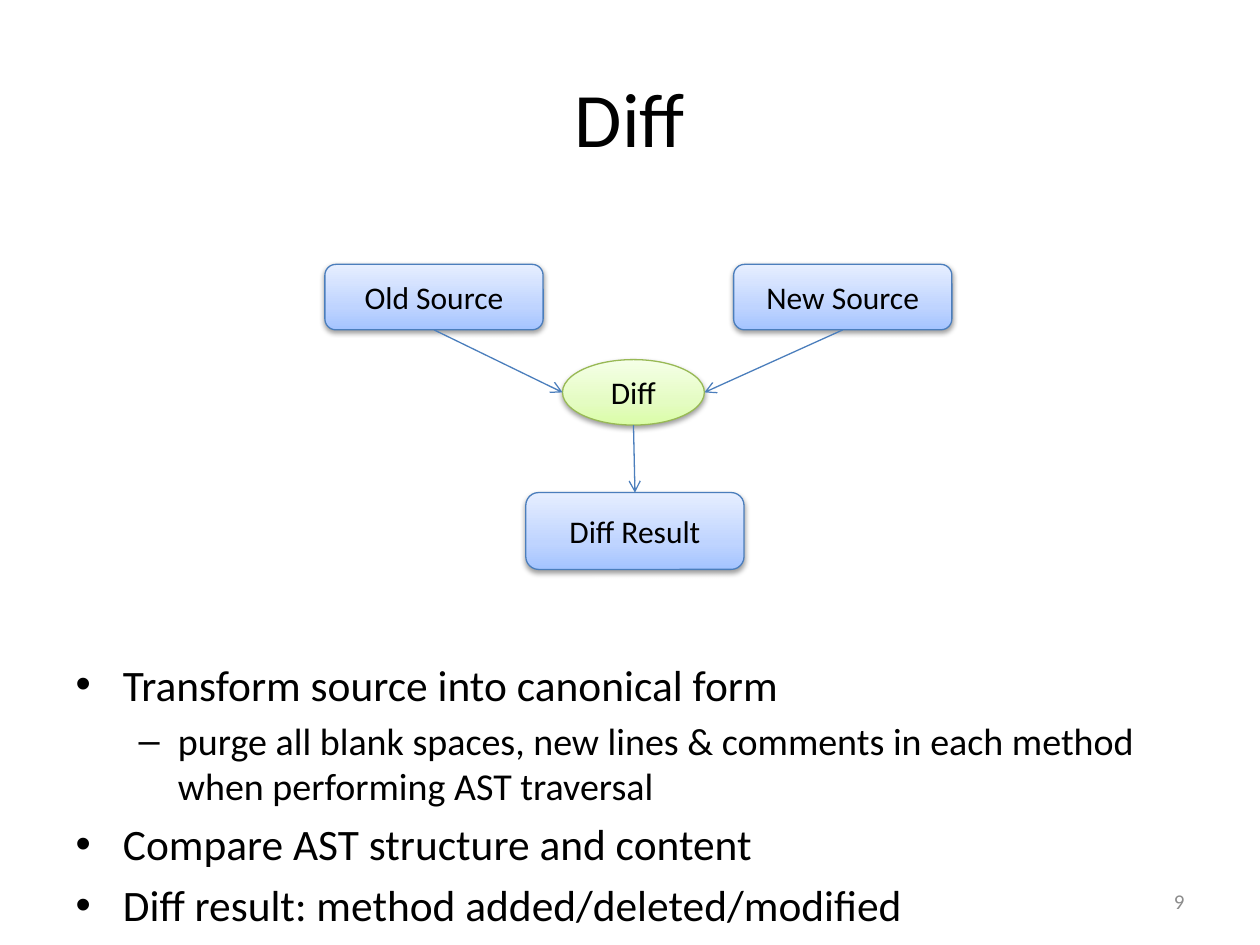
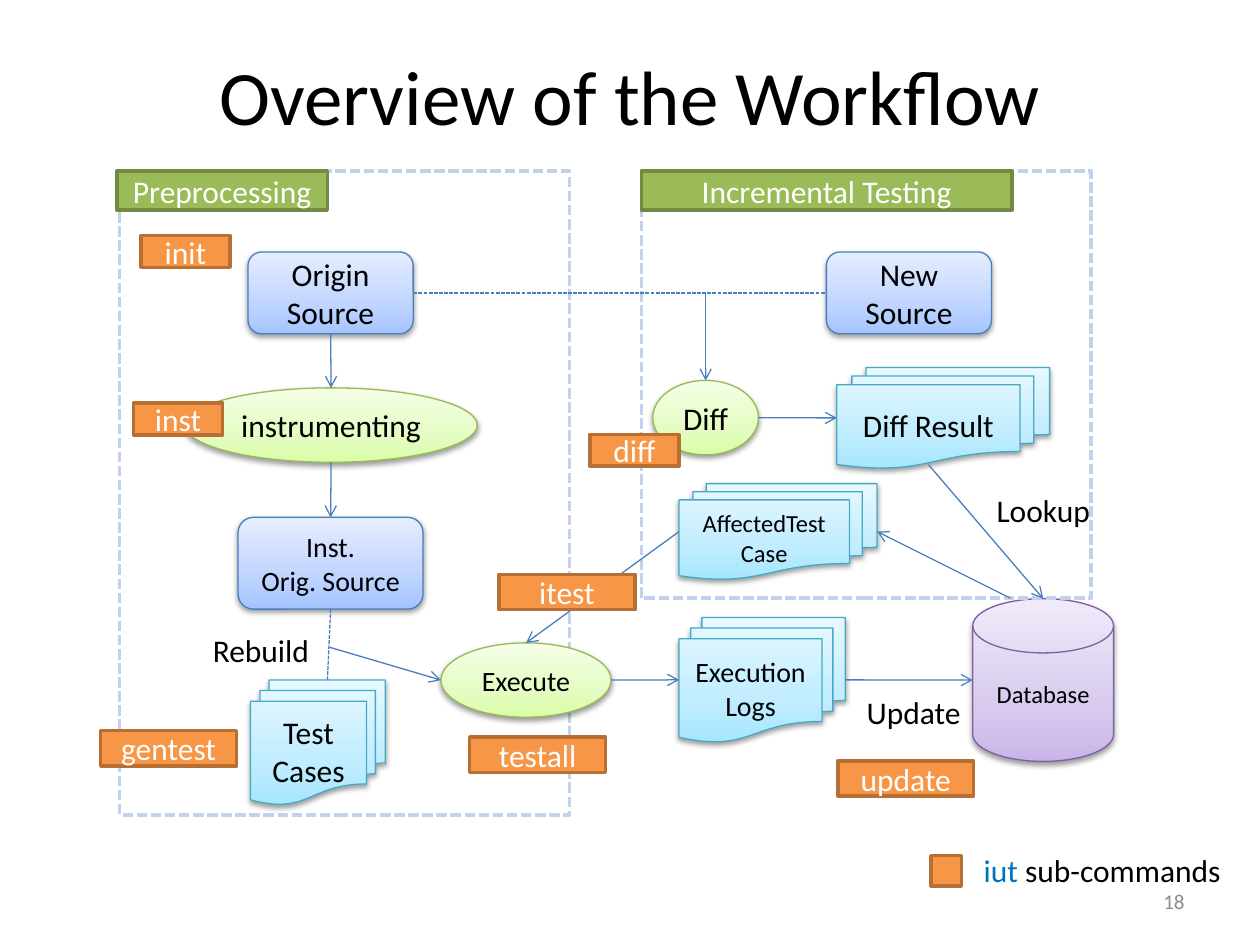
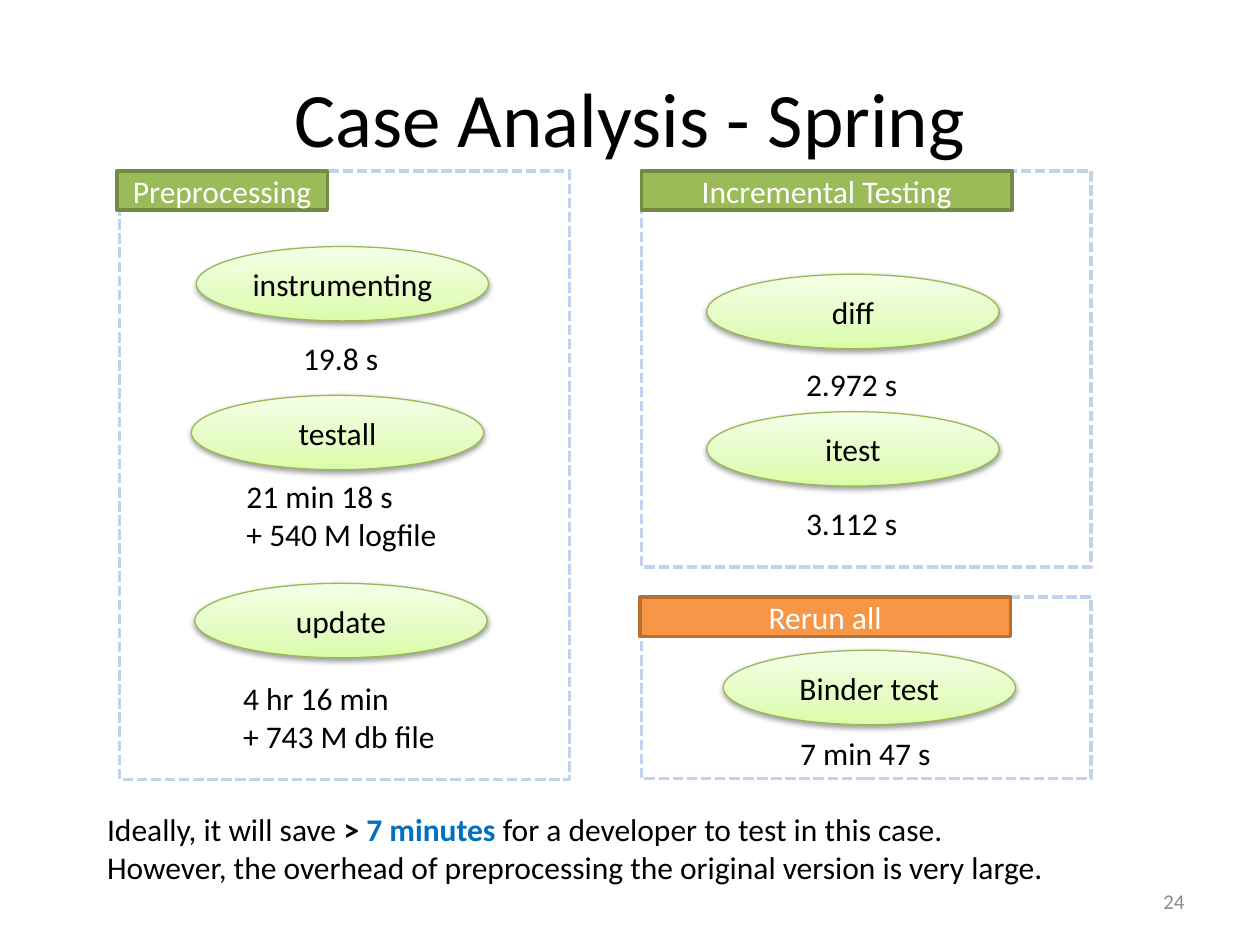
from collections import namedtuple
from copy import deepcopy

from lxml import etree
from pptx import Presentation
from pptx import util as u
from pptx.dml.color import RGBColor
from pptx.enum import dml, shapes, text
from pptx.oxml import ns

FONT = "Calibri"
BLACK, WHITE, GREY, ACCENT = "000000", "FFFFFF", "8C8C8C", "0070C0"
ARROW_BLUE, FRAME_BLUE = "4B7EBC", "C2D1ED"
GREEN_TAG, ORANGE_TAG = ("9BBB59", "738A42"), ("F79646", "B76F34")

Kind = namedtuple("Kind", "preset stops outline")
SOURCE = Kind(shapes.MSO_SHAPE.ROUNDED_RECTANGLE, ("A4C4FF", "BFD4FF", "E6EEFF"), "4B7EBC")
ACTION = Kind(shapes.MSO_SHAPE.OVAL, ("DAFDA7", "E4FCC2", "F5FFE7"), "98B955")
FILES = Kind(shapes.MSO_SHAPE.FLOWCHART_MULTIDOCUMENT, ("A7E6FF", "C1EDFF", "E7F8FF"), "46AAC5")
STORE = Kind(shapes.MSO_SHAPE.FLOWCHART_MAGNETIC_DISK, ("C9B5E8", "D8CBEE", "F0EAF9"), "7D60A0")


class Box(namedtuple("Box", "left top width height")):
    """A rectangle in centimetres."""

    def inside(self, x, y, width, height):
        """Return a box placed relative to this one."""
        return Box(self.left + x, self.top + y, width, height)

    def point(self, x, y):
        """Return a point offset from the top left corner."""
        return self.left + x, self.top + y

    def side(self, name):
        """Return the middle of the named side."""
        x, y = {"top": (0.5, 0), "bottom": (0.5, 1), "left": (0, 0.5), "right": (1, 0.5)}[name]
        return self.point(x * self.width, y * self.height)

    def lengths(self):
        """Return the box as four lengths."""
        return [u.Cm(value) for value in self]


SLIDE = Box(0, 0, 25.4, 19.05)
TALL_TITLE = Box(1.27, 0.76, 22.86, 3.18)
LOW_TITLE = Box(1.27, 0.76, 22.86, 2.29)


def rgb(value):
    """Turn a hex string into a colour."""
    return RGBColor.from_string(value)


def write(frame, content, size=18, color=BLACK, align=text.PP_ALIGN.LEFT):
    """Write a string, or paragraphs of (text, colour, bold) runs."""
    if isinstance(content, str):
        content = [[(line, color, False)] for line in content.split("\n")]
    for index, pieces in enumerate(content):
        paragraph = frame.paragraphs[0] if index == 0 else frame.add_paragraph()
        paragraph.alignment = align
        for words, shade, bold in pieces:
            run = paragraph.add_run()
            run.text = words
            run.font.name, run.font.size, run.font.bold = FONT, u.Pt(size), bold
            run.font.color.rgb = rgb(shade)


def caption(slide, box, content, wrap=False, **style):
    """Add a text box."""
    frame = slide.shapes.add_textbox(*box.lengths()).text_frame
    frame.word_wrap = wrap
    write(frame, content, **style)
    return frame


def outlined(slide, preset, box, color, weight):
    """Add a preset shape with an outline and no shadow."""
    shape = slide.shapes.add_shape(preset, *box.lengths())
    shape.shadow.inherit = False
    shape.line.color.rgb = rgb(color)
    shape.line.width = u.Pt(weight)
    return shape


def label(shape, content, size=18, color=BLACK):
    """Centre text in a shape."""
    shape.text_frame.vertical_anchor = text.MSO_ANCHOR.MIDDLE
    write(shape.text_frame, content, size, color, text.PP_ALIGN.CENTER)


def node(slide, kind, box, content, size=18):
    """Draw a shaded workflow node and return its box."""
    shape = outlined(slide, kind.preset, box, kind.outline, 0.75)
    shape.fill.gradient()
    shape.fill.gradient_angle = 90
    properties = shape.element.spPr
    last_stop = properties.findall(".//" + ns.qn("a:gs"))[-1]
    last_stop.addprevious(deepcopy(last_stop))
    for stop, color, position in zip(shape.fill.gradient_stops, kind.stops, (0, 0.35, 1)):
        stop.color.rgb, stop.position = rgb(color), position
    shadow = etree.SubElement(properties.find(ns.qn("a:effectLst")), ns.qn("a:outerShdw"),
                              blurRad="40000", dist="20000", dir="5400000", rotWithShape="0")
    shade = etree.SubElement(shadow, ns.qn("a:srgbClr"), val=BLACK)
    etree.SubElement(shade, ns.qn("a:alpha"), val="38000")
    label(shape, content, size)
    return box


def link(slide, start, end, dashed=False):
    """Draw an arrow, or a dashed line without a head."""
    (x1, y1), (x2, y2) = start, end
    line = slide.shapes.add_connector(shapes.MSO_CONNECTOR.STRAIGHT,
                                      u.Cm(x1), u.Cm(y1), u.Cm(x2), u.Cm(y2))
    line.line.color.rgb = rgb(ARROW_BLUE)
    line.line.width = u.Pt(0.75)
    if dashed:
        line.line.dash_style = dml.MSO_LINE.SQUARE_DOT
    else:
        etree.SubElement(line.line._get_or_add_ln(), ns.qn("a:tailEnd"), type="arrow")
    etree.SubElement(line._element.spPr, ns.qn("a:effectLst"))


def tag(slide, box, content, colors):
    """Draw a flat coloured label."""
    fill, outline = colors
    shape = outlined(slide, shapes.MSO_SHAPE.RECTANGLE, box, outline, 2)
    shape.fill.solid()
    shape.fill.fore_color.rgb = rgb(fill)
    if content:
        label(shape, content, color=WHITE)


def phase(slide, box, name, tag_width, colors=GREEN_TAG, shift=0):
    """Draw a dashed frame with its name at the top left."""
    frame = outlined(slide, shapes.MSO_SHAPE.RECTANGLE, box, FRAME_BLUE, 2)
    frame.fill.background()
    frame.line.dash_style = dml.MSO_LINE.SQUARE_DOT
    tag(slide, box.inside(shift, 0, tag_width, 0.79), name, colors)


def new_slide(deck, layout, heading, title_box, number):
    """Add a slide with its title and number."""
    slide = deck.slides.add_slide(deck.slide_layouts[layout])
    title = slide.shapes.title
    title.left, title.top, title.width, title.height = title_box.lengths()
    title.text_frame.vertical_anchor = text.MSO_ANCHOR.MIDDLE
    write(title.text_frame, heading, 44, align=text.PP_ALIGN.CENTER)
    footer = caption(slide, SLIDE.inside(18.21, 17.65, 5.92, 1.02), number, wrap=True,
                     size=12, color=GREY, align=text.PP_ALIGN.RIGHT)
    footer.vertical_anchor = text.MSO_ANCHOR.MIDDLE
    return slide


def diff_diagram(slide, box):
    """Draw two sources merging into a diff result."""
    old = node(slide, SOURCE, box.inside(0, 0, 4.4, 1.32), "Old Source")
    new = node(slide, SOURCE, box.inside(8.24, 0, 4.4, 1.32), "New Source")
    diff = node(slide, ACTION, box.inside(4.79, 1.92, 2.86, 1.32), "Diff")
    result = node(slide, SOURCE, box.inside(4.05, 4.6, 4.4, 1.55), "Diff Result")
    link(slide, old.side("bottom"), diff.side("left"))
    link(slide, new.side("bottom"), diff.side("right"))
    link(slide, diff.side("bottom"), result.side("top"))


def bullets(slide, box, points):
    """Fill the body placeholder with (level, text) points."""
    body = slide.placeholders[1]
    body.left, body.top, body.width, body.height = box.lengths()
    frame = body.text_frame
    frame.auto_size = text.MSO_AUTO_SIZE.NONE
    frame.text = "\n".join(words for _, words in points)
    for paragraph, (level, _) in zip(frame.paragraphs, points):
        paragraph.level = level
        font = paragraph.runs[0].font
        font.name, font.size = FONT, u.Pt((24.8, 21.7)[level])
        font.color.rgb = rgb(BLACK)


def preprocessing(slide, box):
    """Draw the preprocessing phase; return the origin box and rebuild point."""
    phase(slide, box, "Preprocessing", 4.24, shift=-0.05)
    origin = node(slide, SOURCE, box.inside(2.59, 1.63, 3.33, 1.65), "Origin Source")
    instrumenting = node(slide, ACTION, box.inside(1.32, 4.37, 5.89, 1.5), "instrumenting")
    node(slide, FILES, box.inside(2.64, 10.26, 2.72, 2.51), "Test Cases")
    instrumented = node(slide, SOURCE, box.inside(2.39, 6.98, 3.73, 1.85),
                        "Inst.\nOrig. Source", 16)
    link(slide, origin.side("bottom"), instrumenting.side("top"))
    link(slide, instrumenting.side("bottom"), instrumented.side("top"))
    link(slide, box.point(4.19, 10.26), instrumented.side("bottom"), dashed=True)
    caption(slide, box.inside(1.63, 9.14, 2.49, 1.02), "Rebuild")
    return origin, box.point(4.24, 9.6)


def execution(slide, box, rebuild):
    """Draw execution, logs and database; return the execute and database boxes."""
    execute = node(slide, ACTION, box.inside(0, 0.89, 3.43, 1.5), "Execute", 16)
    database = node(slide, STORE, box.inside(10.72, 0, 2.84, 3.28), "Database", 14)
    logs = node(slide, FILES, box.inside(4.8, 0.38, 3.35, 2.51), "Execution\nLogs", 16)
    link(slide, rebuild, execute.side("left"))
    link(slide, execute.side("right"), logs.side("left"))
    link(slide, logs.side("right"), database.side("left"))
    caption(slide, box.inside(8.33, 1.78, 2.44, 1.02), "Update")
    return execute, database


def incremental(slide, box, origin, execute, database):
    """Draw the incremental testing phase and its links to the other parts."""
    phase(slide, box, "Incremental Testing", 7.47)
    new = node(slide, SOURCE, box.inside(3.73, 1.63, 3.33, 1.65), "New\nSource")
    diff = node(slide, ACTION, box.inside(0.23, 4.22, 2.13, 1.5), "Diff")
    result = node(slide, FILES, box.inside(3.94, 3.96, 4.29, 2.03), "Diff Result")
    link(slide, origin.side("right"), new.side("left"), dashed=True)
    link(slide, (diff.side("top")[0], new.side("left")[1]), diff.side("top"))
    link(slide, diff.side("right"), result.side("left"))
    link(slide, box.point(5.79, 5.92), database.side("top"))
    caption(slide, box.inside(6.91, 6.32, 4.34, 0.94), "Lookup", wrap=True)
    affected = node(slide, FILES, box.inside(0.76, 6.3, 3.99, 1.93), "AffectedTest Case", 14)
    link(slide, box.point(7.44, box.height), affected.side("right"))
    link(slide, affected.side("left"), execute.side("top"))


def commands(slide, box):
    """Place the sub-command tags and their legend."""
    small, large = (1.8, 0.64), (2.74, 0.71)
    for name, x, y, size in (
        ("init", 2.84, 4.75, small), ("inst", 2.69, 8.13, small), ("diff", 11.89, 8.76, small),
        ("itest", 10.06, 11.58, large), ("testall", 9.47, 14.86, large),
        ("update", 16.89, 15.34, large), ("gentest", 2.03, 14.73, large),
        ("", 18.77, 17.25, (0.61, 0.61)),
    ):
        tag(slide, box.inside(x, y, *size), name, ORANGE_TAG)
    caption(slide, box.inside(19.58, 17.04, 5.33, 1.02),
            [[("iut", ACCENT, False), (" sub-commands", BLACK, False)]])


def timings(slide, box, steps):
    """Draw steps as (name, place, duration, duration box)."""
    for name, place, duration, duration_box in steps:
        node(slide, ACTION, box.inside(*place, 5.89, 1.5), name)
        caption(slide, box.inside(*duration_box), duration, wrap="\n" in duration)


def diff_slide(deck):
    """Build the slide on the diff step."""
    slide = new_slide(deck, 1, "Diff", TALL_TITLE, "9")
    bullets(slide, SLIDE.inside(1.27, 13.13, 22.86, 5), [
        (0, "Transform source into canonical form"),
        (1, "purge all blank spaces, new lines & comments in each method "
            "when performing AST traversal"),
        (0, "Compare AST structure and content"),
        (0, "Diff result: method added/deleted/modified"),
    ])
    diff_diagram(slide, SLIDE.inside(6.55, 5.33, 12.64, 6.15))


def workflow_slide(deck):
    """Build the workflow overview."""
    slide = new_slide(deck, 5, "Overview of the Workflow", LOW_TITLE, "18")
    origin, rebuild = preprocessing(slide, SLIDE.inside(2.41, 3.45, 9.07, 12.98))
    execute, database = execution(slide, SLIDE.inside(8.89, 12.07, 13.56, 3.28), rebuild)
    incremental(slide, SLIDE.inside(12.93, 3.45, 9.07, 8.61), origin, execute, database)
    commands(slide, SLIDE)


def case_slide(deck):
    """Build the timing comparison."""
    slide = new_slide(deck, 5, "Case Analysis - Spring", TALL_TITLE, "24")
    before = SLIDE.inside(2.41, 3.45, 9.07, 12.27)
    phase(slide, before, "Preprocessing", 4.24, shift=-0.05)
    timings(slide, before, [
        ("instrumenting", (1.55, 1.52), "19.8 s", (3.45, 3.25, 2.06, 1.02)),
        ("testall", (1.45, 4.52), "21 min 18 s\n+ 540 M logfile", (2.31, 6.05, 4.8, 1.8)),
        ("update", (1.52, 8.31), "4 hr 16 min\n+ 743 M db file", (2.24, 10.11, 4.47, 1.8)),
    ])
    after = SLIDE.inside(12.93, 3.45, 9.07, 7.98)
    phase(slide, after, "Incremental Testing", 7.47)
    timings(slide, after, [
        ("diff", (1.32, 2.08), "2.972 s", (3.07, 3.78, 2.36, 1.02)),
        ("itest", (1.32, 4.85), "3.112 s", (3.07, 6.58, 2.36, 1.02)),
    ])
    rerun = SLIDE.inside(12.93, 12.04, 9.07, 3.66)
    phase(slide, rerun, "Rerun all", 7.47, ORANGE_TAG, shift=-0.03)
    timings(slide, rerun, [
        ("Binder test", (1.65, 1.07), "7 min 47 s", (2.95, 2.64, 3.18, 1.02)),
    ])
    caption(slide, SLIDE.inside(1.91, 16.21, 22.76, 1.8), [
        [("Ideally, it will save ", BLACK, False), ("> ", BLACK, True),
         ("7 minutes ", ACCENT, True), ("for a developer to test in this case.", BLACK, False)],
        [("However, the overhead of preprocessing the original version is very large.",
          BLACK, False)],
    ], wrap=True)


deck = Presentation()
deck.slide_width, deck.slide_height = u.Cm(SLIDE.width), u.Cm(SLIDE.height)
diff_slide(deck)
workflow_slide(deck)
case_slide(deck)
deck.save("out.pptx")
